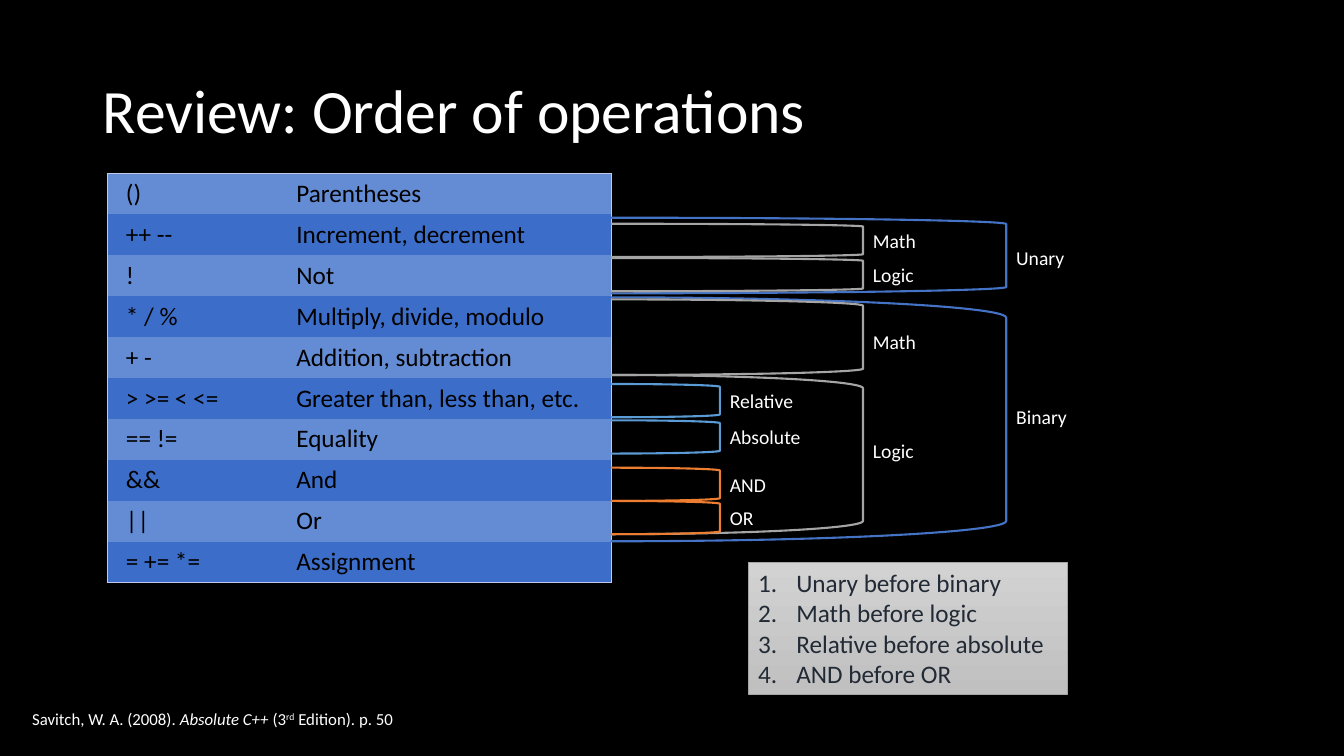
from dataclasses import dataclass

from lxml import etree
from pptx import Presentation
from pptx import util as u
from pptx.dml.color import RGBColor
from pptx.enum import shapes, text
from pptx.oxml import ns


@dataclass(frozen=True)
class Theme:
    font: str = "Calibri"
    background: str = "000000"
    light_text: str = "FFFFFF"
    table_text: str = "000000"
    rule_text: str = "222A35"
    row_light: str = "648CD4"
    row_dark: str = "3C6EC9"
    table_border: str = "C1C9E4"
    arity: str = "4472C4"
    family: str = "A5A5A5"
    comparison: str = "5B9BD5"
    connective: str = "ED7D31"
    panel_top: str = "D2D2D2"
    panel_bottom: str = "C0C0C0"
    title_size: int = 44
    body_size: int = 18
    label_size: int = 14
    citation_size: int = 12


THEME = Theme()
NO_GRID_STYLE = "{2D5ABB26-0587-4C30-8999-92F81FD0307C}"

OPERATORS = [
    ("()", "Parentheses"),
    ("++ --", "Increment, decrement"),
    ("!", "Not"),
    ("* / %", "Multiply, divide, modulo"),
    ("+ -", "Addition, subtraction"),
    ("> >= < <=", "Greater than, less than, etc."),
    ("== !=", "Equality"),
    ("&&", "And"),
    ("||", "Or"),
    ("= += *=", "Assignment"),
]

# Bracket levels: reach, colour and brackets as (label, top, height, label top)
LEVELS = [
    (3.92, THEME.arity, [("Unary", 2.16, 0.75, 2.39), ("Binary", 2.95, 2.42, 3.97)]),
    (2.5, THEME.family, [("Math", 2.22, 0.33, 2.22), ("Logic", 2.56, 0.33, 2.56),
                         ("Math", 2.97, 0.75, 3.22), ("Logic", 3.72, 1.58, 4.31)]),
    (1.08, THEME.comparison, [("Relative", 3.81, 0.33, 3.81),
                              ("Absolute", 4.17, 0.33, 4.17)]),
    (1.08, THEME.connective, [("AND", 4.64, 0.33, 4.64), ("OR", 4.97, 0.33, 4.97)]),
]

RULES = ["Unary before binary", "Math before logic",
         "Relative before absolute", "AND before OR"]


def rgb(value):
    return RGBColor.from_string(value)


def inches(box):
    return [u.Inches(length) for length in box]


def write(frame, paragraphs, size, color=THEME.light_text, spacing=None,
          anchor=text.MSO_ANCHOR.TOP, numbered=False):
    """Fill a frame; each paragraph is a list of (words, style) runs."""
    frame.word_wrap = True
    frame.vertical_anchor = anchor
    for index, runs in enumerate(paragraphs):
        paragraph = frame.add_paragraph() if index else frame.paragraphs[0]
        paragraph.alignment = text.PP_ALIGN.LEFT
        if spacing:
            paragraph.line_spacing = spacing
        if numbered:
            props = paragraph._p.get_or_add_pPr()
            props.set("marL", str(u.Inches(0.38)))
            props.set("indent", str(u.Inches(-0.38)))
            etree.SubElement(props, ns.qn("a:buFont"), typeface="+mj-lt")
            etree.SubElement(props, ns.qn("a:buAutoNum"), type="arabicPeriod")
        for words, style in runs:
            run = paragraph.add_run()
            run.text = words
            run.font.name = THEME.font
            run.font.size = u.Pt(size)
            run.font.color.rgb = rgb(color)
            run.font.italic = style == "italic"
            if style == "superscript":
                run._r.get_or_add_rPr().set("baseline", "30000")


def add_words(slide, box, runs, size, **formatting):
    frame = slide.shapes.add_textbox(*inches(box)).text_frame
    write(frame, [runs], size, **formatting)


def add_cell_border(cell, sides):
    props = cell._tc.get_or_add_tcPr()
    for side in sides:
        line = etree.SubElement(props, ns.qn(f"a:ln{side}"), w=str(u.Pt(0.5)))
        fill = etree.SubElement(line, ns.qn("a:solidFill"))
        etree.SubElement(fill, ns.qn("a:srgbClr"), val=THEME.table_border)


def add_operator_table(slide, box):
    left, top, width, height = inches(box)
    table = slide.shapes.add_table(len(OPERATORS), 2, left, top, width, height).table
    table._tbl.tblPr.find(ns.qn("a:tableStyleId")).text = NO_GRID_STYLE
    table.first_row = table.horz_banding = False
    table.columns[0].width = u.Inches(1.69)
    table.columns[1].width = width - u.Inches(1.69)
    last = len(OPERATORS) - 1
    for row, entry in enumerate(OPERATORS):
        table.rows[row].height = height // len(OPERATORS)
        for column, words in enumerate(entry):
            cell = table.cell(row, column)
            # Only the outer edges of the table are ruled
            add_cell_border(cell, "LR"[column] + "T" * (row == 0) + "B" * (row == last))
            cell.fill.solid()
            cell.fill.fore_color.rgb = rgb(THEME.row_dark if row % 2 else THEME.row_light)
            cell.margin_left = cell.margin_right = u.Inches(0.19)
            write(cell.text_frame, [[(words, "")]], THEME.body_size,
                  color=THEME.table_text)


def add_brackets(slide, left):
    for reach, color, brackets in LEVELS:
        for label, top, height, label_top in brackets:
            bracket = slide.shapes.add_shape(
                shapes.MSO_SHAPE.RIGHT_BRACKET, *inches((left, top, reach, height)))
            bracket.shadow.inherit = False
            bracket.fill.background()
            bracket.line.color.rgb = rgb(color)
            bracket.line.width = u.Pt(1.5)
            add_words(slide, (left + reach, label_top, 1.25, 0.34),
                      [(label, "")], THEME.label_size)


def add_rules(slide, box):
    panel = slide.shapes.add_shape(shapes.MSO_SHAPE.RECTANGLE, *inches(box))
    panel.shadow.inherit = False
    panel.fill.gradient()
    panel.fill.gradient_angle = 270
    for stop, color in zip(panel.fill.gradient_stops,
                           (THEME.panel_top, THEME.panel_bottom)):
        stop.color.rgb = rgb(color)
    panel.line.color.rgb = rgb(THEME.family)
    panel.line.width = u.Pt(0.5)
    write(panel.text_frame, [[(rule, "")] for rule in RULES], THEME.body_size,
          color=THEME.rule_text, numbered=True)


def build_review_slide(deck):
    slide = deck.slides.add_slide(deck.slide_layouts[6])
    slide.background.fill.solid()
    slide.background.fill.fore_color.rgb = rgb(THEME.background)

    # Title
    add_words(slide, (0.92, 0.4, 11.5, 1.45), [("Review: Order of operations", "")],
              THEME.title_size, spacing=0.9, anchor=text.MSO_ANCHOR.MIDDLE)
    # Operators, with the groups bracketed from the table's right edge
    add_operator_table(slide, (1.06, 1.72, 5, 4.06))
    add_rules(slide, (7.42, 5.58, 3.17, 1.31))
    add_brackets(slide, 1.06 + 5)
    # Citation
    citation = [("Savitch, W. A. (2008). ", ""), ("Absolute C++ ", "italic"),
                ("(3", ""), ("rd", "superscript"), (" Edition). p. 50", "")]
    add_words(slide, (0.22, 7, 12.89, 0.5), citation, THEME.citation_size, spacing=0.9)


def main():
    deck = Presentation()
    deck.slide_width, deck.slide_height = inches((13.33, 7.5))
    build_review_slide(deck)
    deck.save("out.pptx")


if __name__ == "__main__":
    main()
